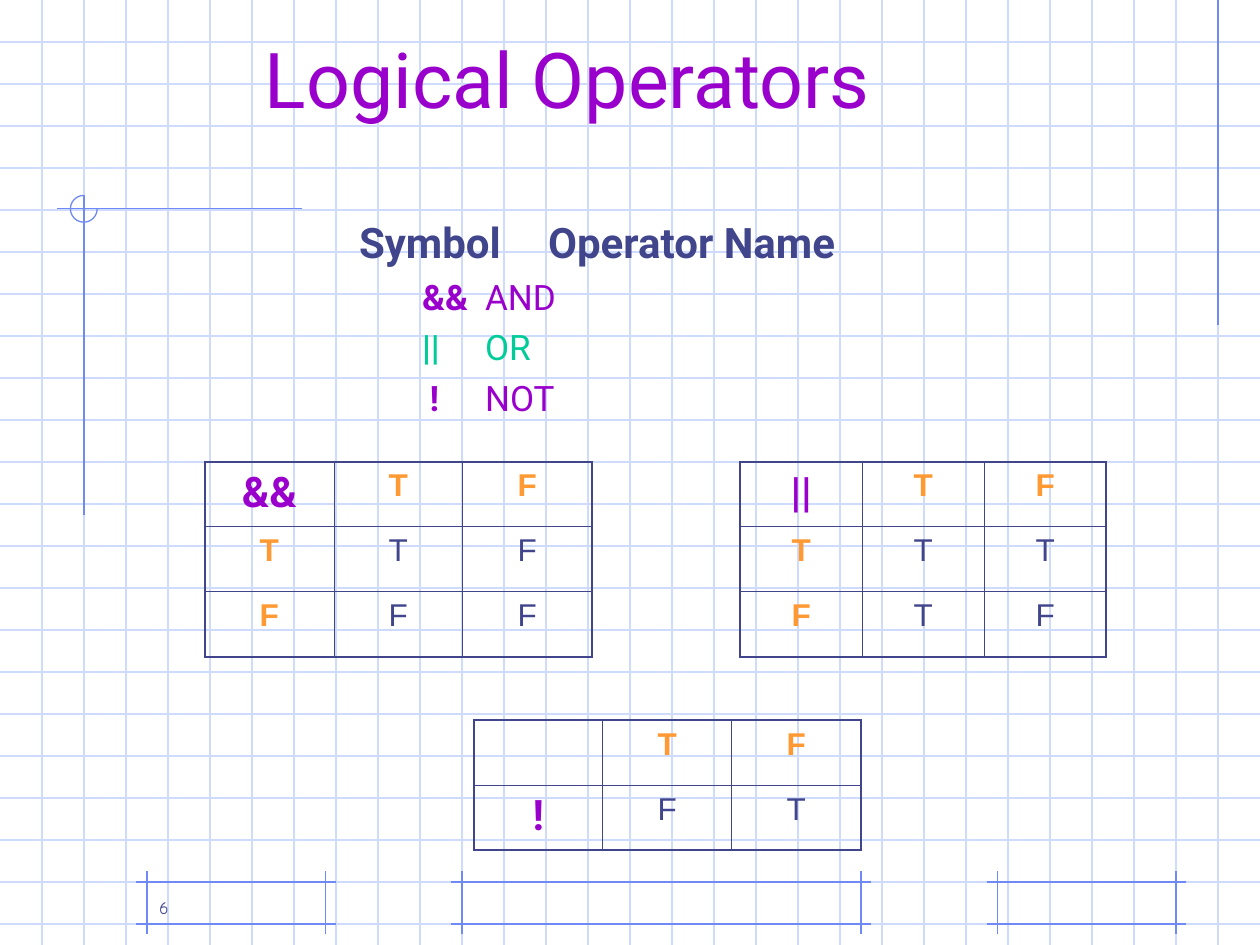
from dataclasses import dataclass
from lxml import etree
from pptx import Presentation
from pptx.dml.color import RGBColor
from pptx.enum.shapes import MSO_CONNECTOR, MSO_SHAPE
from pptx.enum.text import MSO_ANCHOR, PP_ALIGN
from pptx.oxml.ns import qn
from pptx.util import Cm, Pt

PAGE_WIDTH, PAGE_HEIGHT = 25.4, 19.05
PITCH = PAGE_WIDTH / 30
GRID, FRAME, INK = "CFDBFD", "6F89F7", "40458C"
PURPLE, GREEN, ORANGE = "9900CC", "00CC99", "FF9933"


@dataclass
class OperatorRow:
    symbol: str
    name: str
    size: int
    color: str
    indent: float
    name_at: float
    symbol_bold: bool = True
    name_bold: bool = False
    space_before: int = 5


@dataclass
class TruthTable:
    left: float
    top: float
    column_width: float
    cells: list[str]


OPERATORS = [
    OperatorRow("Symbol", "Operator Name", 24, INK, 0, 3.7, name_bold=True, space_before=0),
    OperatorRow("&&", "AND", 20, PURPLE, 1.27, 4.5),
    OperatorRow("||", "OR", 20, GREEN, 1.27, 4.23),
    OperatorRow("!", "NOT", 20, PURPLE, 1.42, 4.42),
]
TABLES = [
    TruthTable(14.92, 9.31, 2.46, ["|| T F", "T T T", "F T F"]),
    TruthTable(4.13, 9.31, 2.6, ["&& T F", "T T F", "F F F"]),
    TruthTable(9.55, 14.52, 2.6, ["_ T F", "! F T"]),
]


def rgb(value: str) -> RGBColor:
    return RGBColor.from_string(value)


def style_font(font, name: str, size: float, color: str, bold: bool = False) -> None:
    font.name, font.size, font.bold = name, Pt(size), bold
    font.color.rgb = rgb(color)


def add_line(page, x1: float, y1: float, x2: float, y2: float, color: str = FRAME) -> None:
    """Draw a thin line between two points given in grid squares."""
    ends = [Cm(value * PITCH) for value in (x1, y1, x2, y2)]
    line = page.shapes.add_connector(MSO_CONNECTOR.STRAIGHT, *ends)
    line.line.color.rgb = rgb(color)
    line.line.width = Pt(0.75)
    etree.SubElement(line._element.spPr, qn("a:effectLst"))


def add_frame(page, left: float, right: float) -> None:
    """Draw a footer frame whose lines cross at the corners."""
    top, bottom, overshoot = 21, 22, 0.25
    for y in (top, bottom):
        add_line(page, left - overshoot, y, right + overshoot, y)
    for x in (left, right):
        add_line(page, x, top - overshoot, x, bottom + overshoot)


def add_box(page, left: float, top: float, width: float, height: float, anchor=MSO_ANCHOR.TOP):
    box = page.shapes.add_textbox(Cm(left), Cm(top), Cm(width), Cm(height))
    frame = box.text_frame
    frame.word_wrap = True
    frame.vertical_anchor = anchor
    return frame


def add_operators(page, rows: list[OperatorRow]) -> None:
    frame = add_box(page, 6.99, 4.23, 12.5, 5.29)
    frame.text = "\n".join(f"{row.symbol}\t{row.name}" for row in rows)
    for para, row in zip(frame.paragraphs, rows):
        properties = para._p.get_or_add_pPr()
        properties.set("marL", "0")
        properties.set("indent", str(Cm(row.indent)))
        tabs = etree.SubElement(properties, qn("a:tabLst"))
        etree.SubElement(tabs, qn("a:tab"), pos=str(Cm(row.name_at)), algn="l")
        para.space_before = Pt(row.space_before)
        para.text = f"{row.symbol}\t"
        name = para.add_run()
        name.text = row.name
        for span in para.runs:
            style_font(span.font, "Roboto", row.size, row.color, row.symbol_bold)
        name.font.bold = row.name_bold


def set_borders(cell, widths: dict[str, float]) -> None:
    properties = cell._tc.get_or_add_tcPr()
    for position, (side, width) in enumerate(widths.items()):
        border = etree.Element(qn(f"a:ln{side}"), w=str(Pt(width)))
        fill = etree.SubElement(border, qn("a:solidFill"))
        etree.SubElement(fill, qn("a:srgbClr"), val=INK)
        properties.insert(position, border)


def add_truth_table(page, spec: TruthTable) -> None:
    outer, inner, row_height = 1.08, 0.45, 1.31
    grid = [line.split() for line in spec.cells]
    last_row, last_column = len(grid) - 1, len(grid[0]) - 1
    table = page.shapes.add_table(
        len(grid), len(grid[0]), Cm(spec.left), Cm(spec.top),
        Cm(spec.column_width * len(grid[0])), Cm(row_height * len(grid))).table
    table.first_row = table.horz_banding = False
    for r, values in enumerate(grid):
        for c, value in enumerate(values):
            cell = table.cell(r, c)
            cell.fill.background()
            set_borders(cell, {
                "L": outer if c == 0 else inner,
                "R": outer if c == last_column else inner,
                "T": outer if r == 0 else inner,
                "B": outer if r == last_row else inner,
            })
            if value == "_":
                continue
            cell.text_frame.text = value
            para = cell.text_frame.paragraphs[0]
            para.alignment = PP_ALIGN.CENTER
            font = para.runs[0].font
            if value not in "TF":
                style_font(font, "Roboto", 24, PURPLE, True)
            elif r == 0 or c == 0:
                style_font(font, "Arial", 18, ORANGE, True)
            else:
                style_font(font, "Arial", 18, INK)


def main() -> None:
    deck = Presentation()
    deck.slide_width, deck.slide_height = Cm(PAGE_WIDTH), Cm(PAGE_HEIGHT)
    page = deck.slides.add_slide(deck.slide_layouts[6])
    page.background.fill.solid()
    page.background.fill.fore_color.rgb = rgb("FFFFFF")

    # Graph paper
    for y in range(1, 23):
        add_line(page, 0, y, 30, y, GRID)
    for x in range(1, 30):
        add_line(page, x, 0, x, 22.5, GRID)

    # Drafting marks
    for left, right in ((11, 20.5), (23.75, 28), (3.5, 7.75)):
        add_frame(page, left, right)
    add_line(page, 29, 0, 29, 7.75)
    add_line(page, 7.2, 4.97, 1.35, 4.97)
    add_line(page, 2, 4.65, 2, 12.27)
    arc = page.shapes.add_shape(MSO_SHAPE.ARC, Cm(1.42), Cm(3.94), Cm(0.54), Cm(0.54))
    arc.adjustments[0], arc.adjustments[1] = 0, 162
    arc.shadow.inherit = False
    arc.fill.background()
    arc.line.color.rgb = rgb(FRAME)
    arc.line.width = Pt(0.75)

    # Title
    title = add_box(page, 1.91, 0, 19.07, 2.54, MSO_ANCHOR.BOTTOM)
    title.margin_top = title.margin_bottom = Cm(0.05)
    title.text = "Logical Operators"
    title.paragraphs[0].alignment = PP_ALIGN.CENTER
    style_font(title.paragraphs[0].runs[0].font, "Roboto", 44, PURPLE)

    # Operators and their truth tables
    add_operators(page, OPERATORS)
    for spec in TABLES:
        add_truth_table(page, spec)

    # Page number
    number = add_box(page, 2.96, 17.36, 5.29, 1.27, MSO_ANCHOR.BOTTOM)
    number.text = "6"
    style_font(number.paragraphs[0].runs[0].font, "Comic Neue", 10, INK)

    deck.save("out.pptx")


if __name__ == "__main__":
    main()
